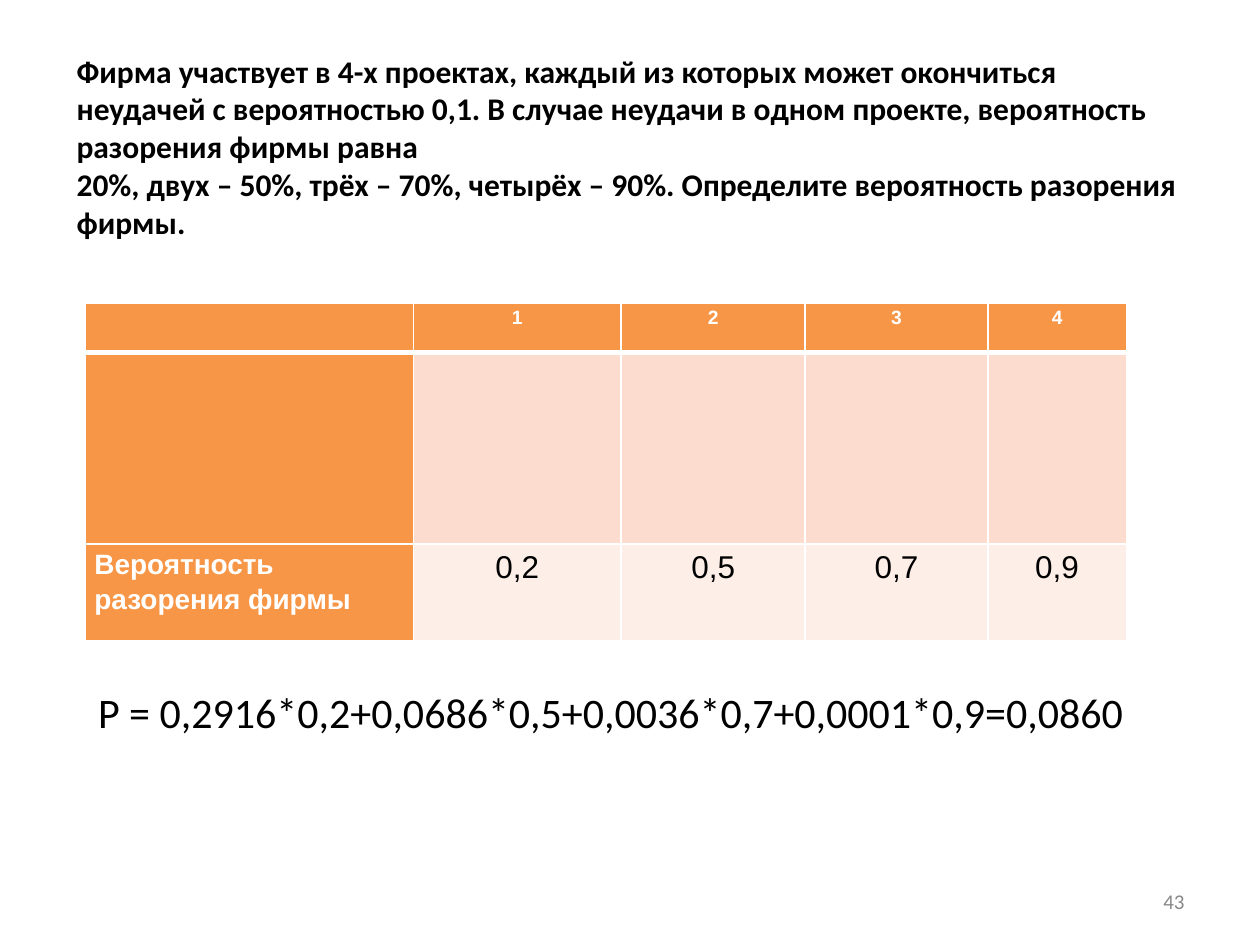
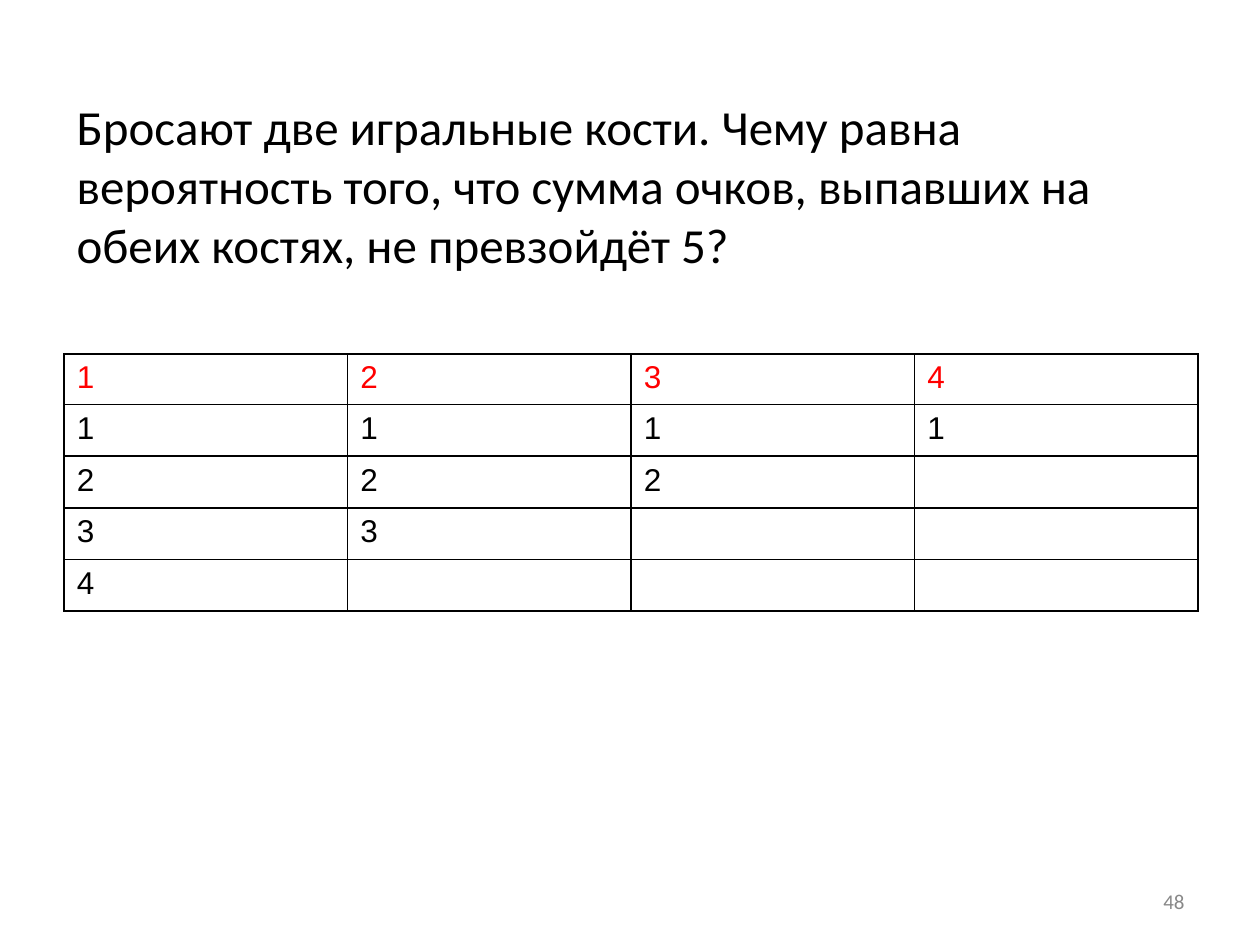
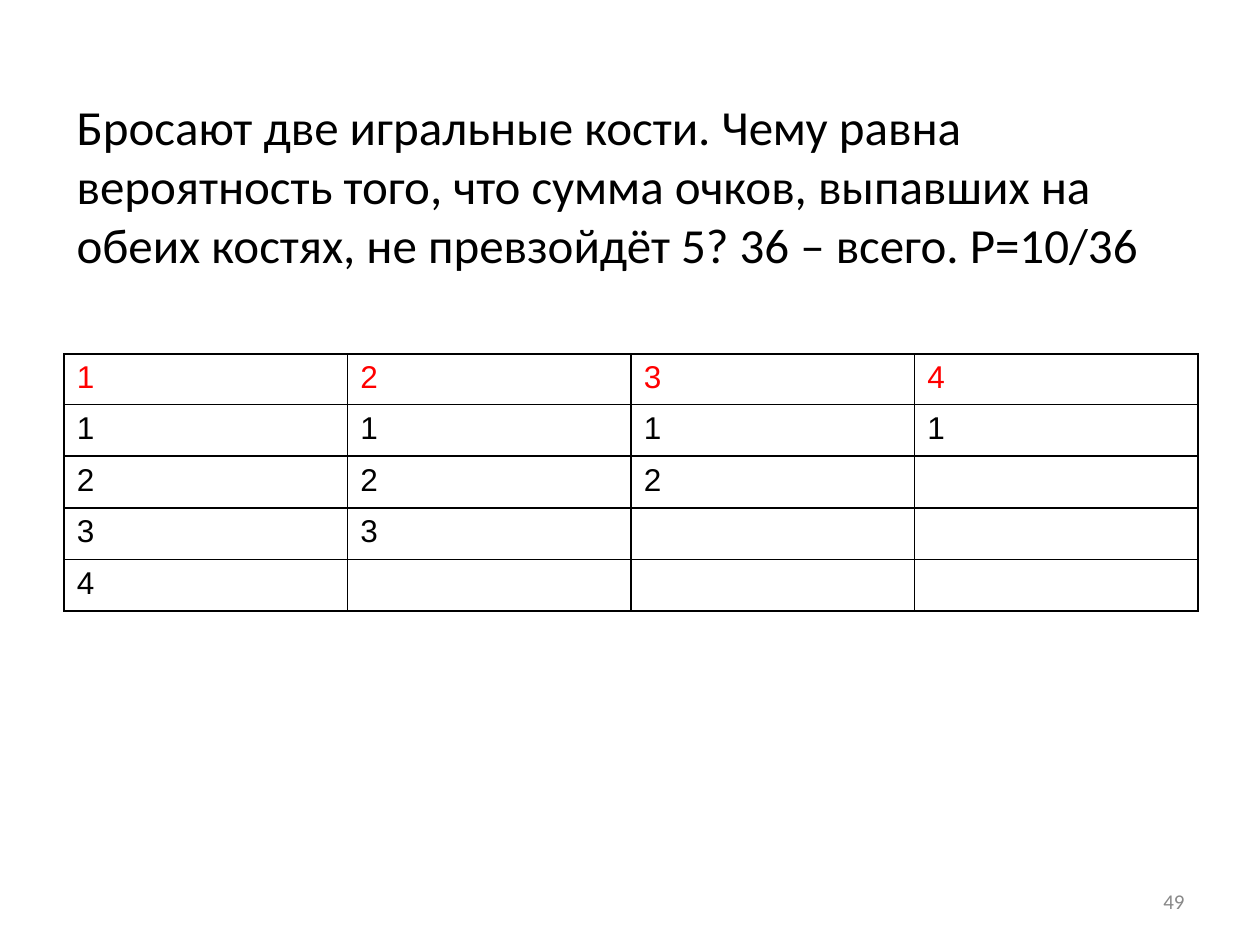
from lxml import etree
from pptx import Presentation
from pptx.dml.color import RGBColor
from pptx.enum.text import MSO_ANCHOR as Anchor, PP_ALIGN as Align
from pptx.oxml.ns import qn
from pptx.util import Inches, Pt

BLACK, WHITE, GREY, RED = "000000", "FFFFFF", "888888", "FF0000"
ORANGE, PEACH, PALE = "F79646", "FCDCCE", "FDEEE8"

FIRM_TASK = (
    "Фирма участвует в 4-х проектах, каждый из которых может окончиться неудачей "
    "с вероятностью 0,1. В случае неудачи в одном проекте, вероятность разорения "
    "фирмы равна\v20%, двух – 50%, трёх – 70%, четырёх – 90%. Определите "
    "вероятность разорения фирмы."
)
FIRM_ANSWER = "P = 0,2916*0,2+0,0686*0,5+0,0036*0,7+0,0001*0,9=0,0860"
FIRM_ROWS = [
    ["", "1", "2", "3", "4"],
    ["", "", "", "", ""],
    ["Вероятность разорения фирмы", "0,2", "0,5", "0,7", "0,9"],
]
FIRM_COLS = [2.6, 1.65, 1.46, 1.45, 1.1]
FIRM_HEIGHTS = [0.39, 1.52, 0.77]
FIRM_FILLS = [ORANGE, PEACH, PALE]

DICE_TASK = (
    "Бросают две игральные кости. Чему равна вероятность того, что сумма очков, "
    "выпавших на обеих костях, не превзойдёт 5?"
)
DICE_SLIDES = [(48, DICE_TASK), (49, DICE_TASK + " 36 – всего. P=10/36")]
DICE_ROWS = [
    ["1", "2", "3", "4"],
    ["1", "1", "1", "1"],
    ["2", "2", "2", ""],
    ["3", "3", "", ""],
    ["4", "", "", ""],
]
DICE_COLS = [2.25] * 4
DICE_HEIGHTS = [0.38] + [0.41] * 4


def rgb(color):
    return RGBColor.from_string(color)


def write(tf, text, size, color=BLACK, font="Calibri", bold=False, align=Align.LEFT, spacing=None):
    tf.text = text
    p = tf.paragraphs[0]
    p.alignment = align
    p.line_spacing = spacing
    for r in p.runs:
        r.font.size = Pt(size)
        r.font.name = font
        r.font.bold = bold
        r.font.color.rgb = rgb(color)


def add_text(s, box, text, size, anchor=Anchor.MIDDLE, **style):
    tf = s.shapes.add_textbox(*map(Inches, box)).text_frame
    tf.word_wrap = True
    tf.vertical_anchor = anchor
    write(tf, text, size, **style)


def add_slide(prs, number, title, top, height, size, bold=False):
    """Add a blank slide with its title and slide number."""
    s = prs.slides.add_slide(prs.slide_layouts[6])
    add_text(s, (0.51, top, 9, height), title, size, bold=bold)
    add_text(s, (7.17, 6.95, 2.33, 0.4), str(number), 12, color=GREY, align=Align.RIGHT)
    return s


def set_borders(cell, color, top=1, bottom=1):
    tc_pr = cell._tc.get_or_add_tcPr()
    for side, width in (("L", 1), ("R", 1), ("T", top), ("B", bottom)):
        ln = etree.SubElement(tc_pr, qn(f"a:ln{side}"), w=str(Pt(width)))
        fill = etree.SubElement(ln, qn("a:solidFill"))
        etree.SubElement(fill, qn("a:srgbClr"), val=color)


def add_table(s, left, top, cols, heights, rows, style_cell):
    """Add a table and let style_cell(cell, row, column, text) fill each cell."""
    size = Inches(sum(cols)), Inches(sum(heights))
    table = s.shapes.add_table(len(rows), len(cols), Inches(left), Inches(top), *size).table
    table.first_row = table.horz_banding = False
    for column, width in zip(table.columns, cols):
        column.width = Inches(width)
    for row, height in zip(table.rows, heights):
        row.height = Inches(height)
    for i, texts in enumerate(rows):
        for j, text in enumerate(texts):
            style_cell(table.cell(i, j), i, j, text)


def fill_cell(cell, color):
    cell.fill.solid()
    cell.fill.fore_color.rgb = rgb(color)


def style_firm_cell(cell, i, j, text):
    heading = i == 0 or j == 0
    set_borders(cell, WHITE, top=3 if i == 1 else 1, bottom=3 if i == 0 else 1)
    fill_cell(cell, ORANGE if heading else FIRM_FILLS[i])
    cell.margin_left = cell.margin_right = Inches(0.07)
    cell.margin_top = cell.margin_bottom = 0
    size = 11 if i == 0 else 16 if j == 0 else 18
    write(cell.text_frame, text, size, WHITE if heading else BLACK, "Arial", heading,
          Align.CENTER if j else Align.LEFT, 1.15)


def style_dice_cell(cell, i, j, text):
    set_borders(cell, BLACK)
    fill_cell(cell, WHITE)
    write(cell.text_frame, text, 18, BLACK if i else RED, "Arial")


def main():
    prs = Presentation()
    prs.slide_width, prs.slide_height = Inches(10), Inches(7.5)

    s = add_slide(prs, 43, FIRM_TASK, 0.36, 1.6, 18, bold=True)
    add_table(s, 0.68, 2.41, FIRM_COLS, FIRM_HEIGHTS, FIRM_ROWS, style_firm_cell)
    add_text(s, (0.68, 5.4, 8.43, 1.31), FIRM_ANSWER, 24, Anchor.TOP)

    for number, task in DICE_SLIDES:
        s = add_slide(prs, number, task, 0.84, 1.25, 28)
        add_table(s, 0.51, 2.81, DICE_COLS, DICE_HEIGHTS, DICE_ROWS, style_dice_cell)

    prs.save("out.pptx")


if __name__ == "__main__":
    main()
